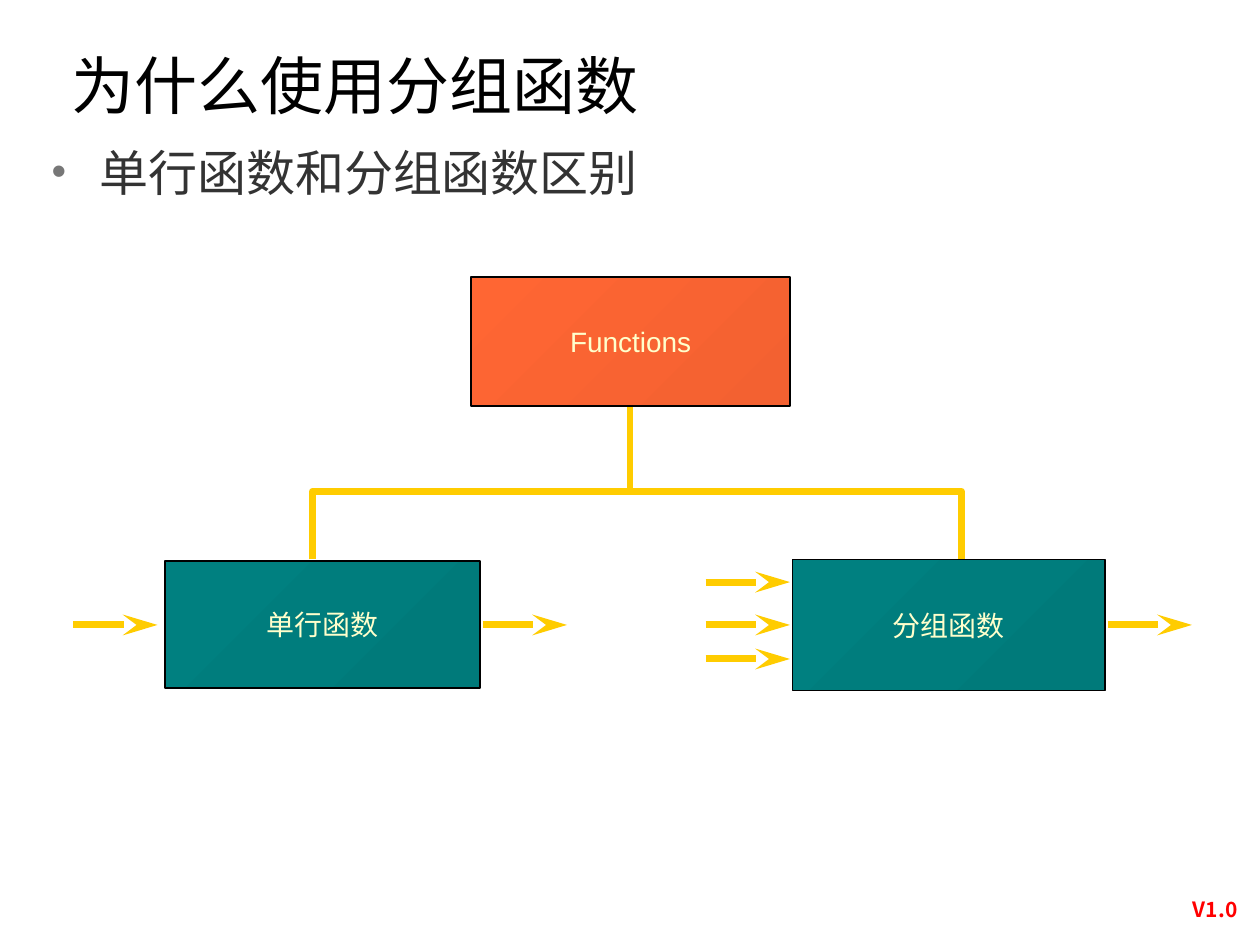
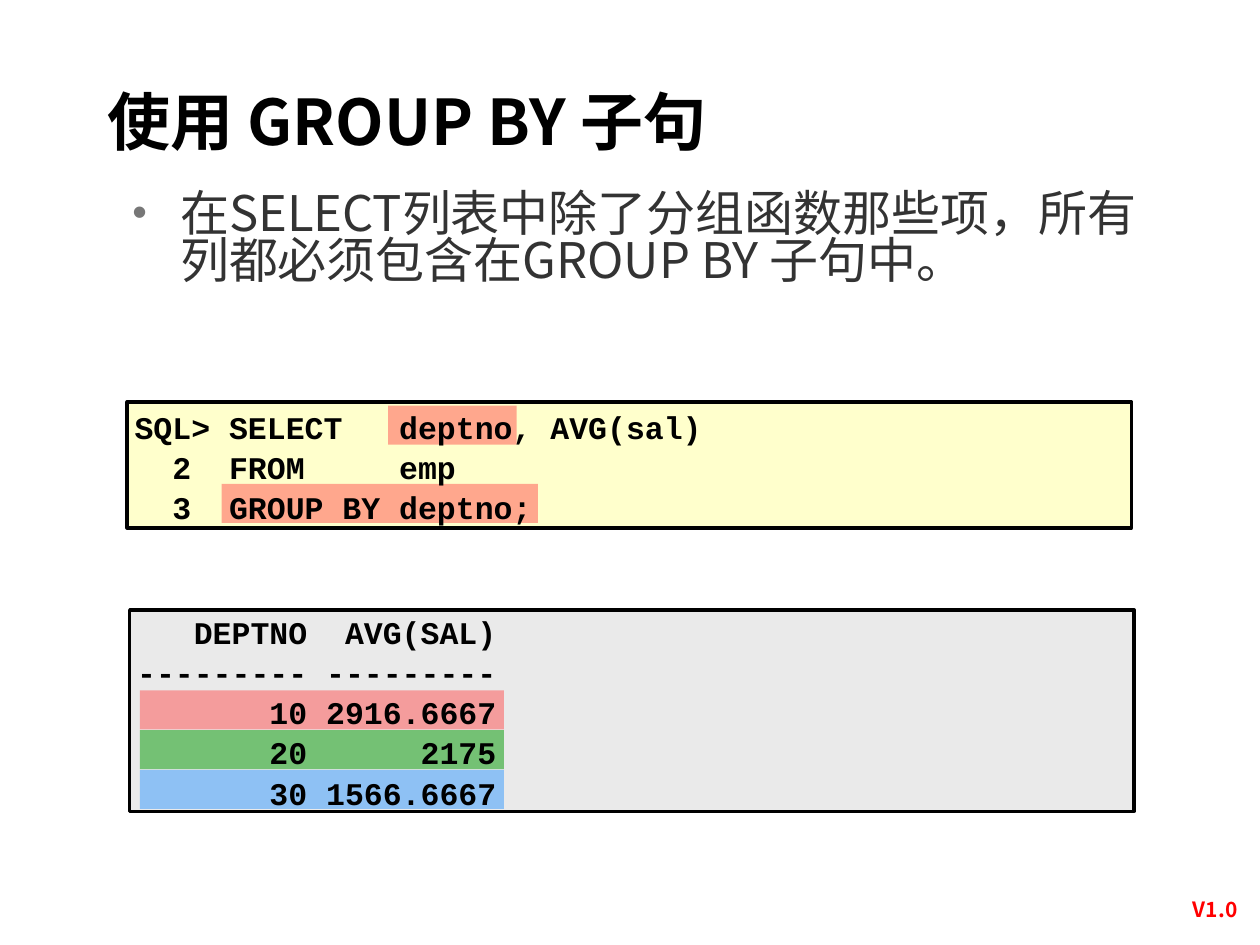
import pptx
import pptx.util
import pptx.dml.color
import pptx.enum.dml
import pptx.enum.shapes
import pptx.enum.text
import pptx.oxml
import pptx.oxml.ns
from pptx.util import Inches

COLORS = {
    "black": "000000", "white": "FFFFFF", "body": "333333", "bullet": "777777",
    "version": "FF0000", "line": "FFCC00", "cream": "FFFFCC", "result": "EAEAEA",
    "orange": "FF6633", "orange_end": "F36131", "teal": "008080", "teal_end": "007A7A",
    "red": "FF5050", "green": "009900", "blue": "3399FF",
}
RGB = {name: pptx.dml.color.RGBColor.from_string(value) for name, value in COLORS.items()}
CJK_FONT = "Noto Sans CJK SC"
NAMESPACE = pptx.oxml.ns.nsdecls("a")
ALIGN = pptx.enum.text.PP_ALIGN
ANCHOR = pptx.enum.text.MSO_ANCHOR
RECTANGLE = pptx.enum.shapes.MSO_SHAPE.RECTANGLE
STRAIGHT = pptx.enum.shapes.MSO_CONNECTOR.STRAIGHT


def write_text(shape, text, size, color, font=CJK_FONT, bold=False,
               align=ALIGN.LEFT, anchor=ANCHOR.TOP, spacing=1.0):
    """Write one paragraph per line of text and format its runs."""
    frame = shape.text_frame
    frame.text = text
    frame.word_wrap = True
    frame.auto_size = pptx.enum.text.MSO_AUTO_SIZE.NONE
    frame.vertical_anchor = anchor
    for paragraph in frame.paragraphs:
        paragraph.alignment = align
        paragraph.line_spacing = spacing
        for run in paragraph.runs:
            run.font.size = pptx.util.Pt(size)
            run.font.name = font
            run.font.bold = bold
            run.font.color.rgb = RGB[color]
            latin = run.font._element.find(pptx.oxml.ns.qn("a:latin"))
            latin.addnext(pptx.oxml.parse_xml(f'<a:ea {NAMESPACE} typeface="{CJK_FONT}"/>'))


def add_box(slide, place, fill, end=None, border=None, alpha=None):
    """Add a rectangle with a plain, gradient or see-through fill."""
    box = slide.shapes.add_shape(RECTANGLE, *map(Inches, place))
    box.shadow.inherit = False
    if end:
        box.fill.gradient()
        box.fill.gradient_angle = 315
        for stop, color, position in zip(box.fill.gradient_stops, (fill, end), (0, 1)):
            stop.color.rgb = RGB[color]
            stop.position = position
    else:
        box.fill.solid()
        box.fill.fore_color.rgb = RGB[fill]
    if alpha:
        color_element = box.element.spPr.find(".//" + pptx.oxml.ns.qn("a:srgbClr"))
        color_element.append(pptx.oxml.parse_xml(f'<a:alpha {NAMESPACE} val="{alpha * 1000}"/>'))
    if border:
        box.line.color.rgb = RGB["black"]
        box.line.width = pptx.util.Pt(border)
    else:
        box.line.fill.background()
    return box


presentation = pptx.Presentation()
presentation.slide_width = Inches(10)
presentation.slide_height = Inches(7.5)

# Title, bullet and version mark of each slide
pages = [
    ("为什么使用分组函数", False, (0.47, 0.39, 8.5, 0.83),
     "单行函数和分组函数区别", (0.31, 1.17, 8.91, 5.43)),
    ("使用 GROUP BY 子句", True, (0.75, 0.67, 8.5, 0.83),
     "在SELECT列表中除了分组函数那些项，所有列都必须包含在GROUP BY 子句中。",
     (0.95, 1.49, 8.29, 1.04)),
]
for title_text, title_bold, title_place, body_text, body_place in pages:
    slide = presentation.slides.add_slide(presentation.slide_layouts[1])
    slide.background.fill.solid()
    slide.background.fill.fore_color.rgb = RGB["white"]

    title, body = slide.placeholders
    for placeholder, place in ((title, title_place), (body, body_place)):
        (placeholder.left, placeholder.top,
         placeholder.width, placeholder.height) = map(Inches, place)
    write_text(title, title_text, 36, "black", bold=title_bold, spacing=0.9)
    write_text(body, body_text, 28, "body", spacing=0.8)

    paragraph = body.text_frame.paragraphs[0]
    paragraph.space_before = pptx.util.Pt(4.3)
    properties = paragraph._p.get_or_add_pPr()
    properties.set("marL", str(Inches(0.38)))
    properties.set("indent", str(Inches(-0.38)))
    for bullet_xml in (
        f'<a:buClr {NAMESPACE}><a:srgbClr val="{COLORS["bullet"]}"/></a:buClr>',
        f'<a:buSzPct {NAMESPACE} val="85000"/>',
        f'<a:buFont {NAMESPACE} typeface="Arial"/>',
        f'<a:buChar {NAMESPACE} char="•"/>',
    ):
        properties.append(pptx.oxml.parse_xml(bullet_xml))

    version = slide.shapes.add_textbox(*map(Inches, (9.25, 7.07, 0.79, 0.3)))
    write_text(version, "V1.0", 12, "version", bold=True, align=ALIGN.CENTER)

functions_slide, group_slide = presentation.slides

# Slide 1: bracket from the root to both kinds of function
builder = functions_slide.shapes.build_freeform(Inches(2.48), Inches(4.44))
builder.add_line_segments(
    [(Inches(x), Inches(y)) for x, y in ((2.48, 3.9), (7.63, 3.9), (7.63, 4.48))], close=False)
bracket = builder.convert_to_shape()
bracket.shadow.inherit = False
bracket.fill.background()
bracket.line.color.rgb = RGB["line"]
bracket.line.width = pptx.util.Pt(4)
bracket.line._get_or_add_ln().append(pptx.oxml.parse_xml(f"<a:round {NAMESPACE}/>"))

# Stem, then the arrows into and out of the functions
ARROW_LENGTH = 0.67
arrow_starts = [(0.58, 4.96), (3.83, 4.96), (5.6, 4.62), (5.6, 4.96), (5.6, 5.23), (8.79, 4.96)]
lines = [(5, 3.92, 5, 3.21, False)]
lines += [(x, y, x + ARROW_LENGTH, y, True) for x, y in arrow_starts]
for *ends, has_head in lines:
    connector = functions_slide.shapes.add_connector(STRAIGHT, *map(Inches, ends))
    connector.line.color.rgb = RGB["line"]
    connector.line.width = pptx.util.Pt(4)
    if has_head:
        connector.line._get_or_add_ln().append(pptx.oxml.parse_xml(
            f'<a:tailEnd {NAMESPACE} type="stealth" w="med" len="lg"/>'))
    connector.element.spPr.append(pptx.oxml.parse_xml(f"<a:effectLst {NAMESPACE}/>"))

# Function boxes
for label, place, color in (
    ("Functions", (3.74, 2.2, 2.53, 1.02), "orange"),
    ("单行函数", (1.31, 4.45, 2.5, 1.01), "teal"),
    ("分组函数", (6.29, 4.44, 2.48, 1.04), "teal"),
):
    box = add_box(functions_slide, place, color, end=color + "_end", border=1)
    write_text(box, label, 16, "cream", font="Arial", align=ALIGN.CENTER, anchor=ANCHOR.MIDDLE)

# Slide 2: panels for the query and its result
add_box(group_slide, (1.01, 3.19, 7.97, 1), "cream", border=2)
add_box(group_slide, (1.03, 4.84, 7.97, 1.6), "result", border=2)

# Highlights behind the grouped column and the result rows
highlights = [(3.08, 3.22, 1.02, "red"), (1.76, 3.84, 2.51, "red")]
highlights += [(1.11, 5.48 + 0.315 * row, 2.89, color)
               for row, color in enumerate(("red", "green", "blue"))]
for left, top, width, color in highlights:
    add_box(group_slide, (left, top, width, 0.31), color, alpha=50)

# Query and result text
query = """SQL> SELECT   deptno, AVG(sal)
  2  FROM     emp
  3  GROUP BY deptno;"""
result = """   DEPTNO  AVG(SAL)
--------- ---------
       10 2916.6667
       20      2175
       30 1566.6667"""
for code, place in ((query, (0.97, 3.18, 8, 1.03)), (result, (0.99, 4.83, 8, 1.63))):
    code_box = group_slide.shapes.add_textbox(*map(Inches, place))
    write_text(code_box, code, 18, "black", font="Courier New", bold=True,
               anchor=ANCHOR.MIDDLE, spacing=1.06)

presentation.save("out.pptx")
